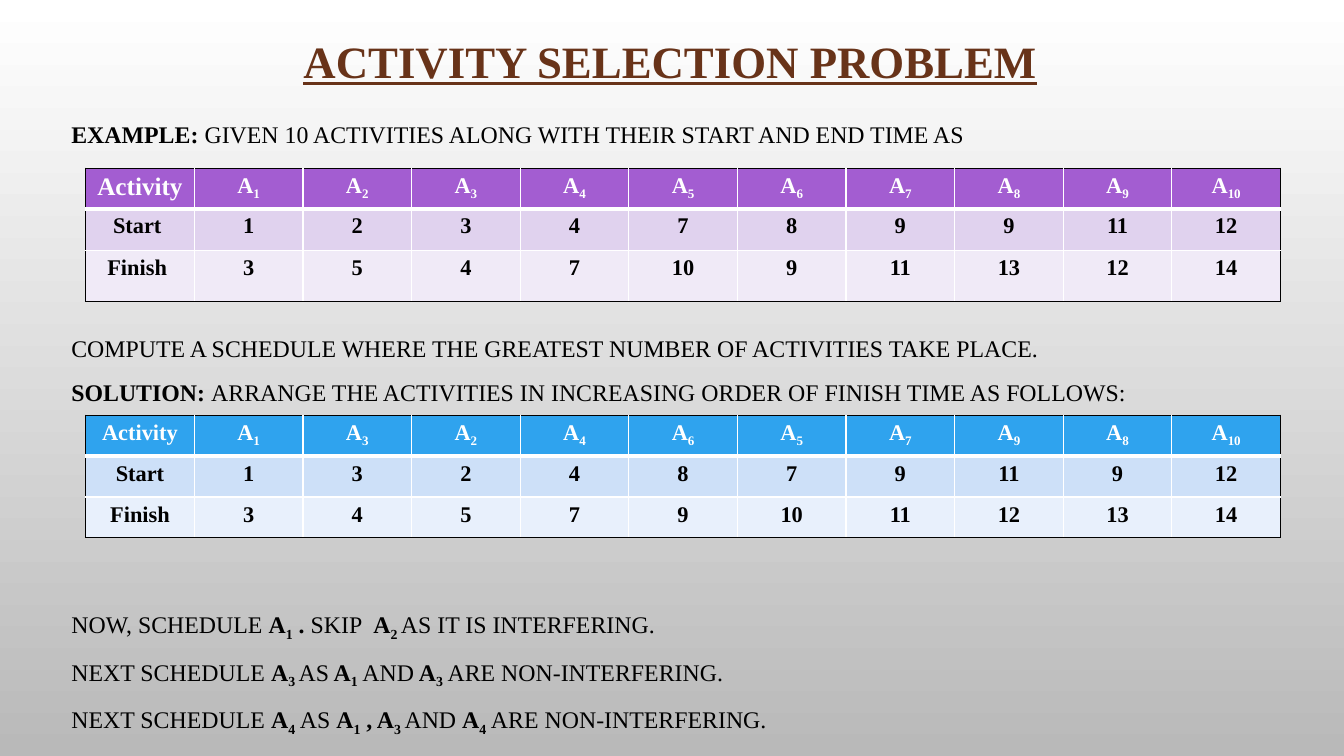
from dataclasses import dataclass

from pptx import Presentation
from pptx import util as u
from pptx.dml import color
from pptx.enum import text
from pptx.oxml import parse_xml
from pptx.oxml import ns


@dataclass(frozen=True)
class Theme:
    font: str = "Times New Roman"
    title_size: float = 32
    body_size: float = 17
    cell_size: float = 16
    large_cell_size: float = 18
    title: str = "683319"
    dark: str = "000000"
    light: str = "FFFFFF"
    background: tuple = ("FFFFFF", "B9B9B9")
    purple: tuple = ("A35DD1", "E0D2EE", "F0EAF7")
    blue: tuple = ("2FA3EE", "CDE0F8", "E8F0FC")


class SlideBuilder:
    def __init__(self, slide, theme):
        self.slide = slide
        self.theme = theme

    def background(self):
        fill = self.slide.background.fill
        fill.gradient()
        fill.gradient_angle = 270
        for stop, rgb in zip(fill.gradient_stops, self.theme.background):
            stop.color.rgb = color.RGBColor.from_string(rgb)

    def add_words(self, paragraph, marked_text, size, rgb, bold=None):
        font = paragraph.font
        font.name = self.theme.font
        font.size = u.Pt(size)
        font.color.rgb = color.RGBColor.from_string(rgb)
        font.bold = bold
        for bold_index, section in enumerate(marked_text.split("*")):
            for sub_index, part in enumerate(section.split("_")):
                if not part:
                    continue
                run = paragraph.add_run()
                run.text = part
                if bold_index % 2:
                    run.font.bold = True
                if sub_index % 2:
                    run._r.get_or_add_rPr().set("baseline", "-25000")

    def text_frame(self, left, top, width, height):
        box = self.slide.shapes.add_textbox(*map(u.Pt, (left, top, width, height)))
        box.text_frame.word_wrap = True
        return box.text_frame

    def title(self, words, *place):
        frame = self.text_frame(*place)
        frame.vertical_anchor = text.MSO_ANCHOR.MIDDLE
        paragraph = frame.paragraphs[0]
        paragraph.alignment = text.PP_ALIGN.CENTER
        paragraph.line_spacing = 0.9
        self.add_words(paragraph, words, self.theme.title_size, self.theme.title, True)
        paragraph.font.underline = True

    def body(self, lines, *place):
        frame = self.text_frame(*place)
        for index, (gap, words) in enumerate(lines):
            paragraph = frame.add_paragraph() if index else frame.paragraphs[0]
            paragraph.space_before = u.Pt(gap)
            self.add_words(paragraph, words, self.theme.body_size, self.theme.dark)

    def border(self, cell, side, rgb, width):
        line = parse_xml(
            f'<a:ln{side} {ns.nsdecls("a")} w="{u.Pt(width)}">'
            f'<a:solidFill><a:srgbClr val="{rgb}"/></a:solidFill></a:ln{side}>'
        )
        cell._tc.get_or_add_tcPr().append(line)

    def cell_borders(self, cell, row, column, last_row, last_column):
        dark, light = self.theme.dark, self.theme.light
        self.border(cell, "L", light if column else dark, 1)
        self.border(cell, "R", dark if column == last_column else light, 1)
        self.border(cell, "T", light if row else dark, 3 if row == 1 else 1)
        self.border(cell, "B", dark if row == last_row else light, 1 if row else 3)

    def table(self, rows, fills, left, top, column_width, heights, corner_size):
        theme = self.theme
        last_row, last_column = len(rows) - 1, len(rows[0]) - 1
        place = (left, top, column_width * len(rows[0]), sum(heights))
        frame = self.slide.shapes.add_table(len(rows), len(rows[0]), *map(u.Pt, place))
        table = frame.table
        table.horz_banding = False
        for column in table.columns:
            column.width = u.Pt(column_width)
        for r, (values, height) in enumerate(zip(rows, heights)):
            table.rows[r].height = u.Pt(height)
            for c, value in enumerate(values):
                cell = table.cell(r, c)
                self.cell_borders(cell, r, c, last_row, last_column)
                cell.fill.solid()
                cell.fill.fore_color.rgb = color.RGBColor.from_string(fills[r])
                paragraph = cell.text_frame.paragraphs[0]
                paragraph.alignment = text.PP_ALIGN.CENTER
                size = theme.cell_size if r or c else corner_size
                self.add_words(paragraph, str(value), size, theme.dark if r else theme.light, True)


ACTIVITIES = {
    1: (1, 3), 2: (2, 5), 3: (3, 4), 4: (4, 7), 5: (7, 10),
    6: (8, 9), 7: (9, 11), 8: (9, 13), 9: (11, 12), 10: (12, 14),
}
FINISH_ORDER = sorted(ACTIVITIES, key=lambda number: ACTIVITIES[number][1])

BODY_LINES = [
    (0, "*EXAMPLE:* GIVEN 10 ACTIVITIES ALONG WITH THEIR START AND END TIME AS"),
    (132.5, "COMPUTE A SCHEDULE WHERE THE GREATEST NUMBER OF ACTIVITIES TAKE PLACE."),
    (11, "*SOLUTION: *ARRANGE THE ACTIVITIES IN INCREASING ORDER OF FINISH TIME AS FOLLOWS:"),
    (145, "NOW, SCHEDULE *A_1_ . *SKIP  *A_2 _*AS IT IS INTERFERING."),
    (11, "NEXT SCHEDULE *A_3 _*AS* A_1_* AND* A_3_* ARE NON-INTERFERING."),
    (11, "NEXT SCHEDULE *A_4_* AS *A_1_ , A_3 _*AND *A_4_* ARE NON-INTERFERING."),
]


def schedule_rows(order, start_label, finish_label):
    return [
        ["Activity"] + [f"A_{number}_" for number in order],
        [start_label] + [ACTIVITIES[number][0] for number in order],
        [finish_label] + [ACTIVITIES[number][1] for number in order],
    ]


def main():
    presentation = Presentation()
    presentation.slide_width = u.Pt(960)
    presentation.slide_height = u.Pt(540)
    theme = Theme()
    builder = SlideBuilder(presentation.slides.add_slide(presentation.slide_layouts[6]), theme)
    builder.background()
    builder.title("ACTIVITY SELECTION PROBLEM", 64.8, 10.8, 828, 69.8)
    builder.body(BODY_LINES, 43.9, 82, 887.8, 448)
    builder.table(schedule_rows(ACTIVITIES, "Start ", "Finish "), theme.purple,
                  61.2, 120.2, 77.6, (28, 29.5, 36.5), theme.large_cell_size)
    builder.table(schedule_rows(FINISH_ORDER, "Start", "Finish"), theme.blue,
                  61.2, 296.6, 77.6, (29.2, 29.2, 29.2), theme.cell_size)
    presentation.save("out.pptx")


if __name__ == "__main__":
    main()
